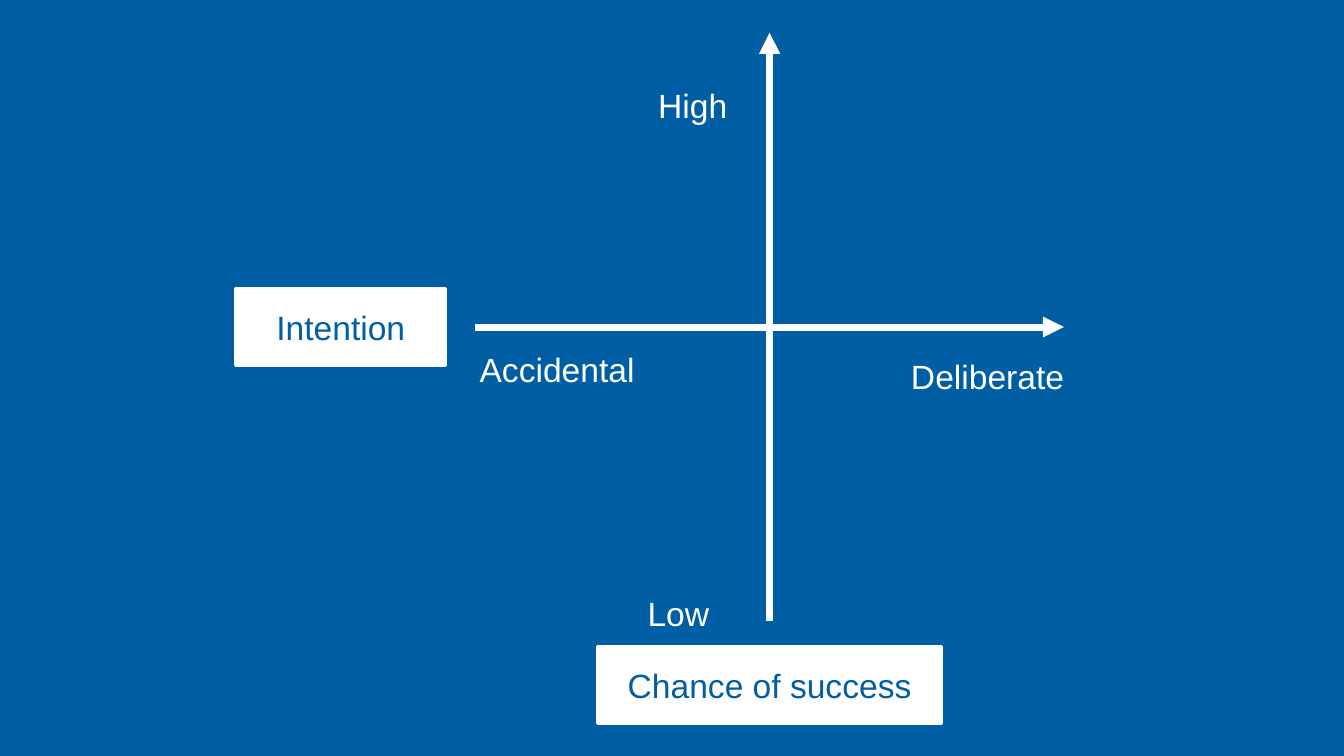
from lxml.etree import SubElement
from pptx import Presentation
from pptx.dml.color import RGBColor
from pptx.enum.shapes import MSO_CONNECTOR, MSO_SHAPE
from pptx.enum.text import MSO_ANCHOR, MSO_AUTO_SIZE, PP_ALIGN
from pptx.oxml.ns import qn
from pptx.util import Cm, Pt

COLOURS = {"blue": "005EA5", "white": "FFFFFF"}
CENTRE_X, CENTRE_Y = 38.79, 16.48
HALF_AXIS = 14.83
BOX_HEIGHT = 3.86


class QuadrantSlide:
    frame_format = {
        "word_wrap": True,
        "auto_size": MSO_AUTO_SIZE.NONE,
        "vertical_anchor": MSO_ANCHOR.MIDDLE,
        "margin_left": Cm(0.15),
        "margin_right": Cm(0.15),
        "margin_top": Cm(0.15),
        "margin_bottom": Cm(0.15),
    }
    font_format = {"name": "Arial", "size": Pt(48), "bold": False}

    def __init__(self, page):
        self.page = page
        fill = page.background.fill
        fill.solid()
        fill.fore_color.rgb = self.colour("blue")

    def colour(self, name):
        return RGBColor.from_string(COLOURS[name])

    def set_text(self, box, text, colour):
        frame = box.text_frame
        for name, value in self.frame_format.items():
            setattr(frame, name, value)
        frame.text = text
        para = frame.paragraphs[0]
        para.alignment = PP_ALIGN.CENTER
        span = para.runs[0]
        for name, value in self.font_format.items():
            setattr(span.font, name, value)
        span.font.color.rgb = self.colour(colour)

    def title(self, text, left, top, width, height):
        box = self.page.shapes.title
        place = {"left": left, "top": top, "width": width, "height": height}
        for name, value in place.items():
            setattr(box, name, Cm(value))
        self.set_text(box, text, "white")

    def label(self, text, left, top, width):
        box = self.page.shapes.add_textbox(Cm(left), Cm(top), Cm(width), Cm(BOX_HEIGHT))
        self.set_text(box, text, "white")

    def axis_name(self, text, centre_x, centre_y, width):
        box = self.page.shapes.add_shape(
            MSO_SHAPE.RECTANGLE,
            Cm(centre_x - width / 2), Cm(centre_y - BOX_HEIGHT / 2),
            Cm(width), Cm(BOX_HEIGHT),
        )
        box.shadow.inherit = False
        box.fill.solid()
        box.fill.fore_color.rgb = self.colour("white")
        box.line.color.rgb = self.colour("white")
        box.line.width = Pt(4)
        self.set_text(box, text, "blue")

    def axis(self, step_x, step_y):
        arrow = self.page.shapes.add_connector(
            MSO_CONNECTOR.STRAIGHT,
            Cm(CENTRE_X - step_x), Cm(CENTRE_Y - step_y),
            Cm(CENTRE_X + step_x), Cm(CENTRE_Y + step_y),
        )
        arrow.line.color.rgb = self.colour("white")
        arrow.line.width = Pt(10)
        properties = arrow._element.spPr
        SubElement(properties.find(qn("a:ln")), qn("a:tailEnd"), type="triangle")
        SubElement(properties, qn("a:effectLst"))


def main():
    deck = Presentation()
    deck.slide_width, deck.slide_height = Cm(67.74), Cm(38.1)
    page = deck.slides.add_slide(deck.slide_layouts[0])
    subtitle = page.placeholders[1]._element
    subtitle.getparent().remove(subtitle)

    quadrant = QuadrantSlide(page)
    quadrant.axis(0, -HALF_AXIS)
    quadrant.title("Deliberate", 44.48, 16.94, 10.59, 4.04)
    quadrant.label("Accidental", 22.86, 16.69, 10.44)
    quadrant.label("High", 29.62, 3.35, 10.59)
    quadrant.label("Low", 29.01, 28.96, 10.36)
    quadrant.axis_name("Chance of success", CENTRE_X, 34.52, 17.32)
    quadrant.axis_name("Intention", 17.18, CENTRE_Y, 10.59)
    quadrant.axis(HALF_AXIS, 0)
    deck.save("out.pptx")


if __name__ == "__main__":
    main()
